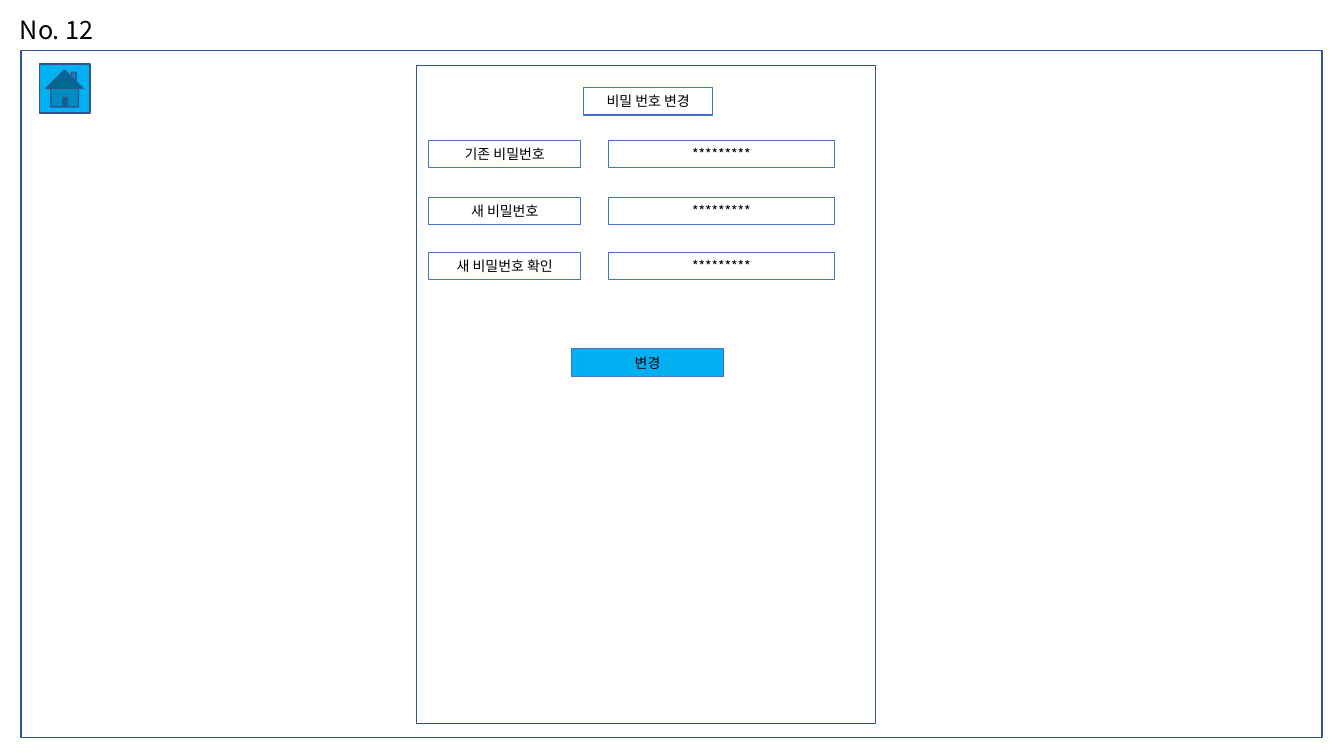
from lxml.etree import SubElement
from pptx import Presentation
from pptx.dml.color import RGBColor
from pptx.enum.shapes import MSO_SHAPE
from pptx.enum.text import MSO_ANCHOR, PP_ALIGN
from pptx.oxml.ns import qn
from pptx.util import Cm, Pt

FONT = "Noto Sans CJK KR"
BLACK = RGBColor(0x00, 0x00, 0x00)
NAVY = RGBColor(0x32, 0x54, 0x91)
BLUE = RGBColor(0x44, 0x72, 0xC4)
SKY = RGBColor(0x00, 0xB0, 0xF0)


def write(sp, text, size, align):
    tf = sp.text_frame
    tf.word_wrap = True
    tf.vertical_anchor = MSO_ANCHOR.MIDDLE
    p = tf.paragraphs[0]
    p.alignment = align
    r = p.add_run()
    r.text = text
    r.font.size = Pt(size)
    r.font.color.rgb = BLACK
    r.font.name = FONT
    # Hangul takes the East Asian font
    SubElement(r.font._element, qn("a:ea"), typeface=FONT)


def add_box(x, y, w, h, line=BLUE, width=0.75, fill=None, text=None,
            kind=MSO_SHAPE.RECTANGLE):
    sp = s.shapes.add_shape(kind, Cm(x), Cm(y), Cm(w), Cm(h))
    sp.shadow.inherit = False
    sp.line.color.rgb = line
    sp.line.width = Pt(width)
    if fill is None:
        sp.fill.background()
    else:
        sp.fill.solid()
        sp.fill.fore_color.rgb = fill
    if text:
        write(sp, text, 10, PP_ALIGN.CENTER)


prs = Presentation()
prs.slide_width, prs.slide_height = Cm(33.87), Cm(19.05)
s = prs.slides.add_slide(prs.slide_layouts[6])

# Screen number
number = s.shapes.add_textbox(Cm(0.25), Cm(0.23), Cm(2.87), Cm(1.02))
write(number, "No. 12", 18, PP_ALIGN.LEFT)

# Screen frame and form panel
add_box(0.53, 1.27, 32.79, 17.32, NAVY, 1)
add_box(10.49, 1.65, 11.58, 16.59, NAVY, 1)

# Password rows: label and field
ROW_H = 0.69
LABEL_W = 3.84
rows = [(3.54, "기존 비밀번호"), (4.98, "새 비밀번호"), (6.36, "새 비밀번호 확인")]
for y, label in rows:
    add_box(10.8, y, LABEL_W, ROW_H, text=label)
    add_box(15.34, y, 5.68, ROW_H, text="*********")

# Change button and form title
add_box(14.4, 8.79, LABEL_W, ROW_H, fill=SKY, text="변경")
add_box(14.71, 2.21, 3.25, ROW_H, text="비밀 번호 변경")

# Home button
add_box(0.99, 1.61, 1.28, 1.24, NAVY, 1, SKY, kind=MSO_SHAPE.ACTION_BUTTON_HOME)

prs.save("out.pptx")
